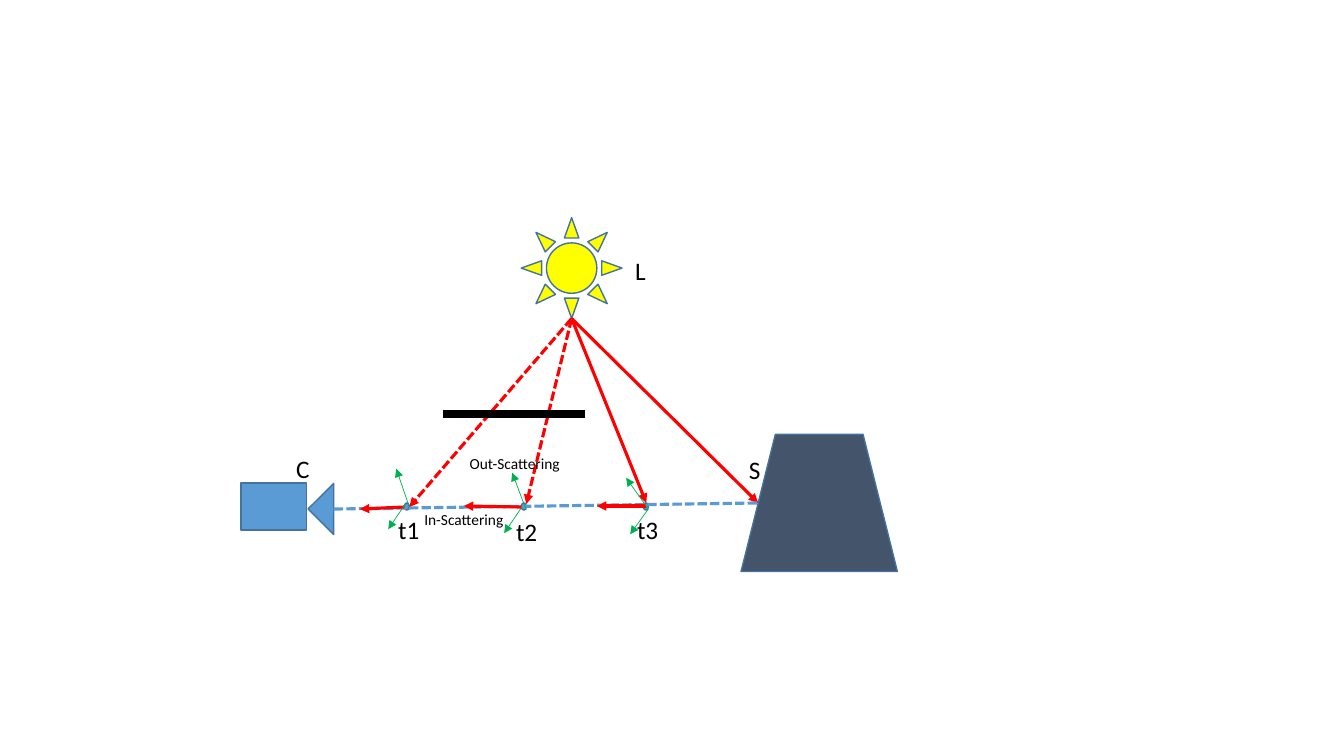
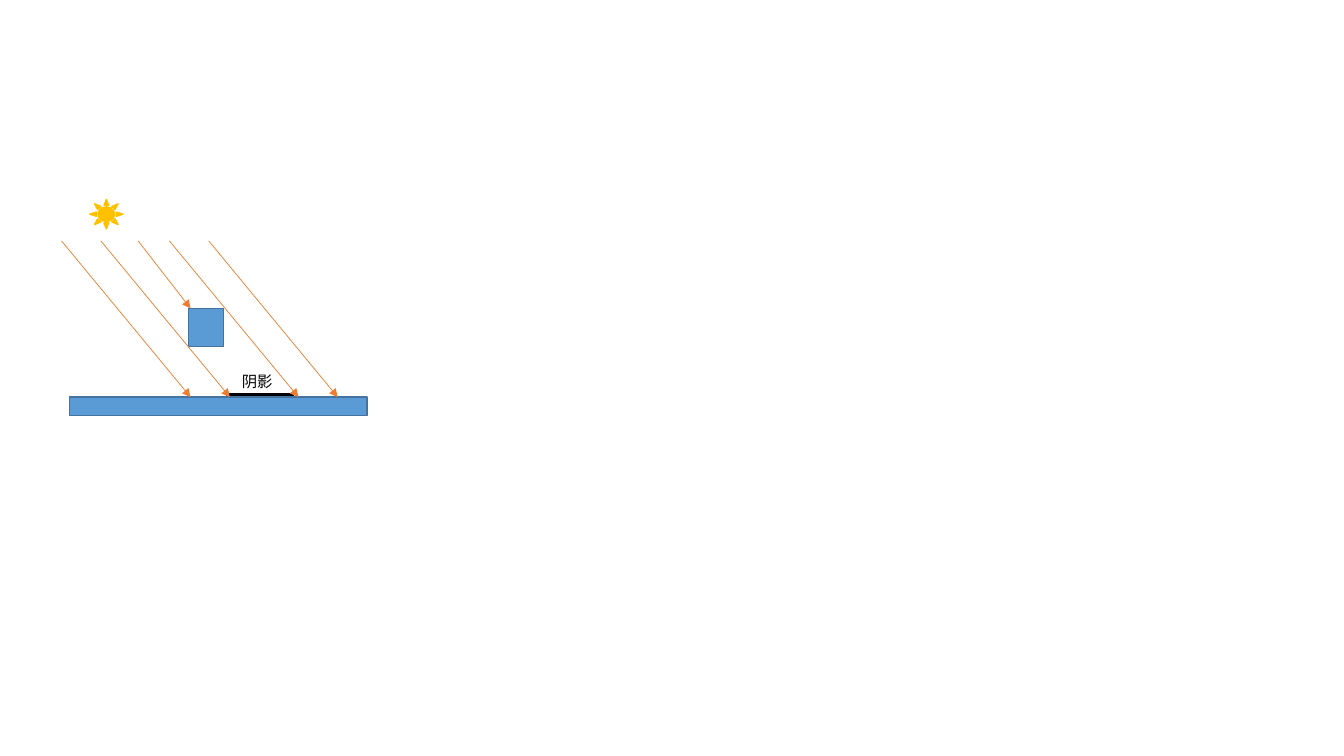
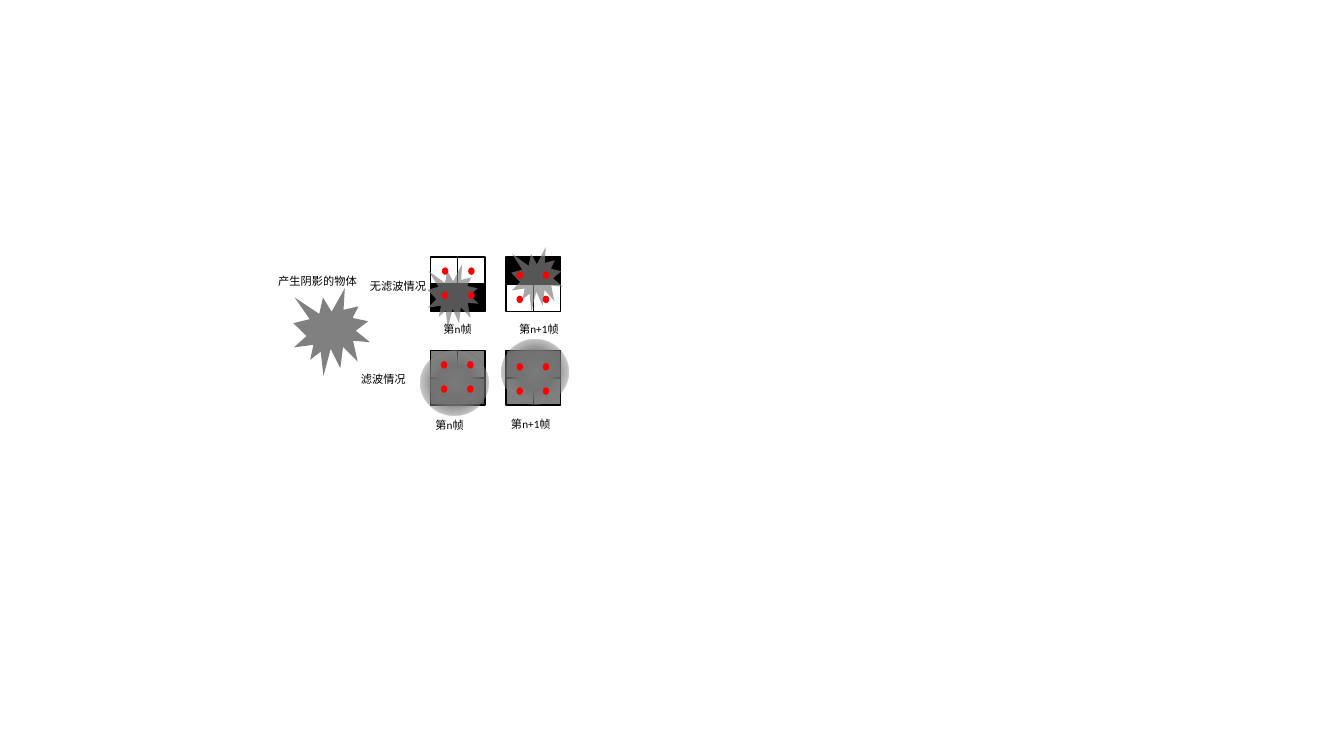
from itertools import product

from lxml.etree import SubElement
from pptx import Presentation
from pptx.dml.color import RGBColor
from pptx.enum.dml import MSO_LINE
from pptx.enum.shapes import MSO_CONNECTOR, MSO_SHAPE
from pptx.enum.text import MSO_AUTO_SIZE
from pptx.oxml import parse_xml
from pptx.oxml.ns import nsdecls, qn
from pptx.util import Inches, Pt

BLACK, WHITE, RED, GREEN = "000000", "FFFFFF", "FF0000", "00B050"
BLUE, OUTLINE, SLATE = "5B9BD5", "43739E", "44546A"
YELLOW, GOLD, ORANGE = "FFFF00", "FFC000", "ED7D31"
GRAY, DARK_GRAY = "808080", "595959"


def rgb(color):
    """Turn a hex string into a colour."""
    return RGBColor.from_string(color)


def write(tf, text, size=18, color=BLACK, font="Calibri"):
    """Put formatted text into a text frame."""
    r = tf.paragraphs[0].add_run()
    r.text = text
    r.font.name, r.font.size = font, Pt(size)
    r.font.color.rgb = rgb(color)


class Deck:
    """Hold the presentation style and the current slide."""

    def __init__(self):
        """Start a widescreen presentation."""
        self.prs = Presentation()
        self.prs.slide_width, self.prs.slide_height = Inches(13.33), Inches(7.5)

    def slide(self):
        """Add a blank slide and make it current."""
        self.s = self.prs.slides.add_slide(self.prs.slide_layouts[6])

    def shape(self, kind, x, y, w, h, fill=BLUE, line=OUTLINE, alpha=None, rot=0):
        """Add a filled preset shape."""
        sp = self.s.shapes.add_shape(kind, Inches(x), Inches(y), Inches(w), Inches(h))
        sp.shadow.inherit = False
        sp.rotation = rot
        sp.fill.solid()
        sp.fill.fore_color.rgb = rgb(fill)
        if alpha:
            color = sp._element.spPr.find(qn("a:solidFill"))[0]
            SubElement(color, qn("a:alpha"), val=str(alpha * 1000))
        if line:
            sp.line.color.rgb = rgb(line)
            sp.line.width = Pt(1)
        else:
            sp.line.fill.background()
        return sp

    def glow(self, x, y, w, h):
        """Add a borderless ellipse that fades out from its centre."""
        sp = self.shape(MSO_SHAPE.OVAL, x, y, w, h, line=None)
        grad = parse_xml(
            f'<a:gradFill {nsdecls("a")} rotWithShape="1"><a:gsLst>'
            '<a:gs pos="0"><a:srgbClr val="7C7C7C"/></a:gs>'
            '<a:gs pos="37000"><a:srgbClr val="747474"/></a:gs>'
            '<a:gs pos="100000"><a:srgbClr val="939393"><a:alpha val="0"/></a:srgbClr></a:gs>'
            '</a:gsLst><a:path path="circle">'
            '<a:fillToRect l="50000" t="50000" r="50000" b="50000"/></a:path></a:gradFill>')
        spPr = sp._element.spPr
        spPr.replace(spPr.find(qn("a:solidFill")), grad)

    def line(self, start, end, color, width=2.25, dash=False, arrow=True):
        """Add a straight line, with an arrowhead at its end by default."""
        points = [Inches(v) for v in (*start, *end)]
        c = self.s.shapes.add_connector(MSO_CONNECTOR.STRAIGHT, *points)
        c.line.color.rgb = rgb(color)
        c.line.width = Pt(width)
        if dash:
            c.line.dash_style = MSO_LINE.SQUARE_DOT
        spPr = c._element.spPr
        if arrow:
            SubElement(spPr.find(qn("a:ln")), qn("a:tailEnd"), type="triangle")
        SubElement(spPr, qn("a:effectLst"))

    def text(self, text, x, y, w, h, wrap=False, **fmt):
        """Add a text box."""
        tb = self.s.shapes.add_textbox(Inches(x), Inches(y), Inches(w), Inches(h))
        tf = tb.text_frame
        tf.word_wrap = wrap
        tf.auto_size = MSO_AUTO_SIZE.SHAPE_TO_FIT_TEXT
        write(tf, text, **fmt)


def scattering(d):
    """Draw light scattering along a camera ray."""
    d.slide()
    d.line((5.17, 5.04), (5, 5.29), GREEN, 0.5)
    d.text("In-Scattering", 4.11, 5.01, 1, 0.29, size=11)
    d.shape(MSO_SHAPE.SUN, 5.17, 2.16, 1, 1, YELLOW)
    d.shape(MSO_SHAPE.TRAPEZOID, 7.35, 4.31, 1.55, 1.36, SLATE)
    light, surface = (5.67, 3.16), (7.52, 4.99)
    d.line(light, surface, RED)
    for x in (5.17, 4.01, 6.38):
        d.shape(MSO_SHAPE.OVAL, x, 4.99, 0.05, 0.07)
    d.shape(MSO_SHAPE.RECTANGLE, 2.39, 4.79, 0.65, 0.47)
    d.shape(MSO_SHAPE.RIGHT_TRIANGLE, 3.13, 4.87, 0.36, 0.36, rot=45.2)
    d.line((3.31, 5.05), surface, BLUE, dash=True, arrow=False)
    for end, shadowed in (((6.41, 4.99), False), ((5.22, 5), True), ((4.06, 5.03), True)):
        d.line(light, end, RED, dash=shadowed)
    for label, x, y, w in (("t1", 3.85, 5.05, 0.41), ("t2", 5.02, 5.07, 0.41),
                           ("t3", 6.22, 5.05, 0.41), ("L", 6.2, 2.48, 0.31),
                           ("S", 7.33, 4.46, 0.32), ("C", 2.84, 4.45, 0.34)):
        d.text(label, x, y, w, 0.4)
    for start, end in (((4.01, 5.03), (3.57, 5.05)), ((5.17, 5.03), (4.6, 5.02)),
                       ((6.41, 5.02), (5.92, 5.02))):
        d.line(start, end, RED)
    d.line((4.39, 4.11), (5.8, 4.11), BLACK, 6, arrow=False)
    for start, end in (((4.06, 5.03), (3.93, 4.65)), ((4.02, 5), (3.85, 5.25)),
                       ((5.22, 5.06), (5.08, 4.69)), ((6.43, 5.05), (6.21, 4.74)),
                       ((6.43, 5.05), (6.25, 5.3))):
        d.line(start, end, GREEN, 0.5)
    d.text("Out-Scattering", 4.56, 4.46, 1.11, 0.29, size=11)


def shadow(d):
    """Draw parallel sun rays casting a shadow."""
    d.slide()
    d.line((2.24, 3.91), (2.92, 3.91), BLACK, arrow=False)
    d.shape(MSO_SHAPE.RECTANGLE, 0.69, 3.94, 2.95, 0.18)
    d.shape(MSO_SHAPE.RECTANGLE, 1.87, 3.06, 0.35, 0.38)
    for x in (2.07, 1.68, 1, 0.61):
        d.line((x, 2.39), (x + 1.28, 3.94), ORANGE, 0.5)
    d.line((1.37, 2.39), (1.89, 3.06), ORANGE, 0.5)
    d.shape(MSO_SHAPE.SUN, 0.89, 1.98, 0.33, 0.29, GOLD, GOLD)
    d.text("阴影", 2.3, 3.64, 0.51, 0.29, size=11)


def filtering(d):
    """Compare two frames with and without filtering."""
    d.slide()
    burst = MSO_SHAPE.EXPLOSION1
    d.shape(burst, 2.91, 2.86, 0.76, 0.87, GRAY, None)
    cell = 0.27
    for x, y, *fills in ((4.27, 2.55, WHITE, BLACK), (5.02, 2.55, BLACK, WHITE),
                         (4.27, 3.48, GRAY, DARK_GRAY), (5.02, 3.48, DARK_GRAY, GRAY)):
        for row, col in product(range(2), repeat=2):
            d.shape(MSO_SHAPE.RECTANGLE, x + col * cell, y + row * cell,
                    cell, cell, fills[row], BLACK)
    for x, y in ((4.24, 2.62), (5.07, 2.45)):
        d.shape(burst, x, y, 0.51, 0.64, GRAY, None, alpha=68)
    for x, y in ((4.17, 3.48), (4.97, 3.37)):
        d.glow(x, y, 0.67, 0.64)
    for label, x, y, w in (("第n帧", 4.3, 3.15, 0.49), ("第n+1帧", 5.05, 3.15, 0.6),
                           ("第n帧", 4.22, 4.1, 0.49), ("第n+1帧", 4.97, 4.09, 0.6)):
        d.text(label, x, y, w, 0.24, wrap=True, size=8)
    for label, x, y, w in (("无滤波情况", 3.57, 2.72, 0.76), ("滤波情况", 3.48, 3.64, 0.65),
                           ("产生阴影的物体", 2.66, 2.67, 0.99)):
        d.text(label, x, y, w, 0.24, size=8)
    for x, y in ((4.38, 3.59), (5.13, 2.7), (5.13, 3.61), (4.39, 2.66)):
        for row, col in product(range(2), repeat=2):
            d.shape(MSO_SHAPE.FLOWCHART_CONNECTOR, x + col * 0.26, y + row * 0.24,
                    0.05, 0.06, RED, RED)


def main():
    """Build and save the slides."""
    d = Deck()
    scattering(d)
    shadow(d)
    filtering(d)
    d.prs.save("out.pptx")


if __name__ == "__main__":
    main()
